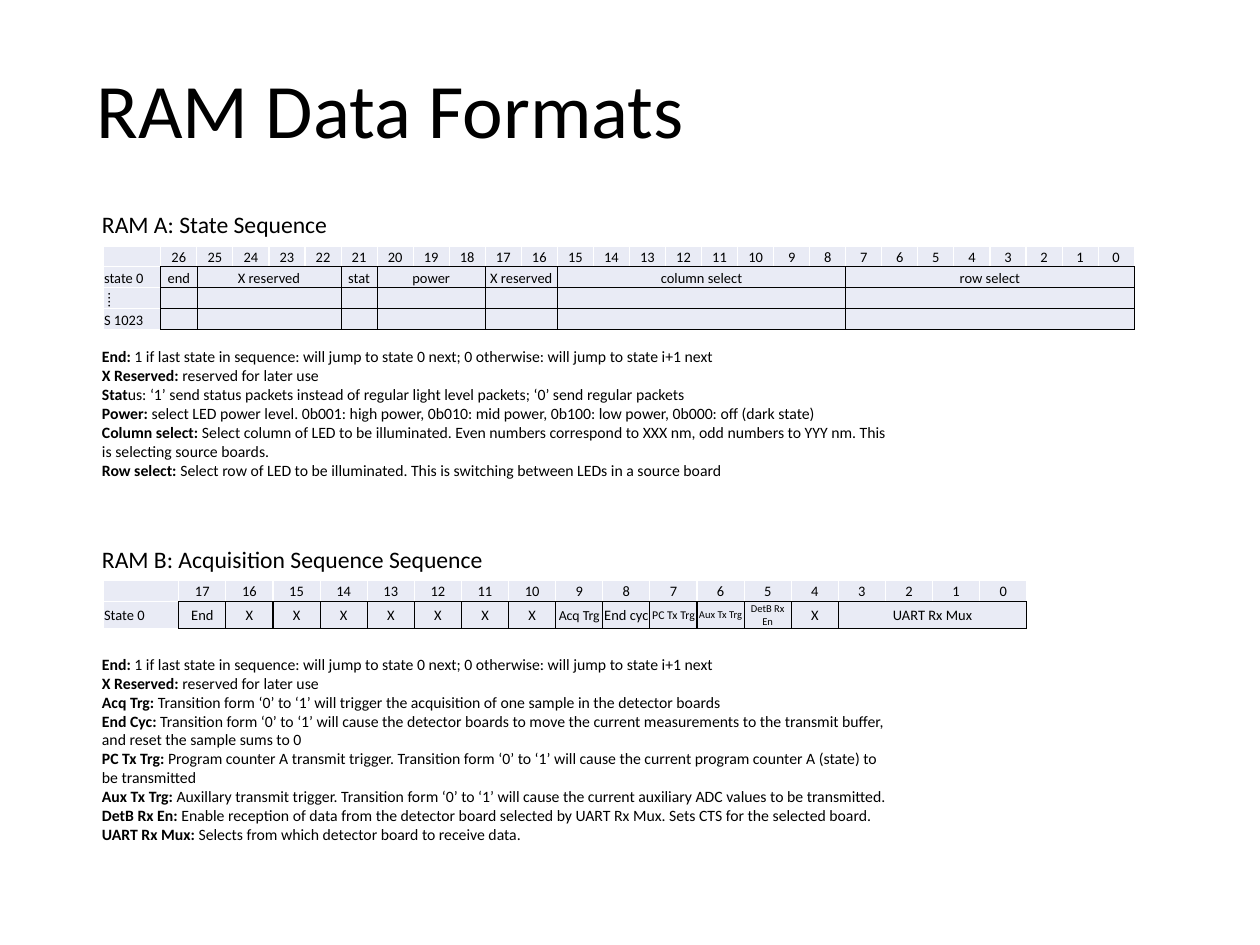
from lxml import etree
from pptx import Presentation
from pptx.dml.color import RGBColor
from pptx.enum.text import MSO_ANCHOR, MSO_AUTO_SIZE, PP_ALIGN
from pptx.oxml.ns import qn
from pptx.util import Inches, Pt

BLACK = RGBColor(0x00, 0x00, 0x00)
WHITE = RGBColor(0xFF, 0xFF, 0xFF)
PALE_BLUE = RGBColor(0xE9, 0xEB, 0xF5)
FONT = "Calibri"
LEFT, CENTER = PP_ALIGN.LEFT, PP_ALIGN.CENTER
MIDDLE, BOTTOM = MSO_ANCHOR.MIDDLE, MSO_ANCHOR.BOTTOM
NO_AUTOFIT = MSO_AUTO_SIZE.NONE
CELL_SIZE = 11
TITLE_ONLY = 5

# Each field: text, number of bits, text size, width of the line on its right
FIELDS_A = [
    ("end", 1, 11, 0.5), ("X reserved", 4, 11, 0.5), ("stat", 1, 11, 0.5),
    ("power", 3, 11, 0.5), ("X reserved", 2, 11, 0.5),
    ("column select", 8, 11, 1), ("row select", 8, 11, 1),
]
FIELDS_B = [
    ("End", 1, 11, 1), *[("X", 1, 11, 1)] * 7, ("Acq Trg", 1, 10.5, 1),
    ("End cyc", 1, 11, 1), ("PC Tx Trg", 1, 9, 1), ("Aux Tx Trg", 1, 8, 1),
    ("DetB Rx En", 1, 8, 1), ("X", 1, 11, 1), ("UART Rx Mux", 4, 11, 1),
]
COMMON_NOTES = [
    ("End:", " 1 if last state in sequence: will jump to state 0 next; "
             "0 otherwise: will jump to state i+1 next"),
    ("X Reserved:", " reserved for later use"),
]
NOTES_A = COMMON_NOTES + [
    ("Stat", "us: ‘1’ send status packets instead of regular light level packets; "
             "‘0’ send regular packets"),
    ("Power:", " select LED power level. 0b001: high power, 0b010: mid power, "
               "0b100: low power, 0b000: off (dark state)"),
    ("Column select:", " Select column of LED to be illuminated. Even numbers correspond "
                       "to XXX nm, odd numbers to YYY nm. This is selecting source boards."),
    ("Row select:", " Select row of LED to be illuminated. "
                    "This is switching between LEDs in a source board"),
]
NOTES_B = COMMON_NOTES + [
    ("Acq Trg:", " Transition form ‘0’ to ‘1’ will trigger the acquisition of one sample "
                 "in the detector boards"),
    ("End Cyc:", " Transition form ‘0’ to ‘1’ will cause the detector boards to move the "
                 "current measurements to the transmit buffer, and reset the sample sums to 0"),
    ("PC Tx Trg:", " Program counter A transmit trigger. Transition form ‘0’ to ‘1’ will "
                   "cause the current program counter A (state) to be transmitted"),
    ("Aux Tx Trg:", " Auxillary transmit trigger. Transition form ‘0’ to ‘1’ will cause the "
                    "current auxiliary ADC values to be transmitted."),
    ("DetB Rx En:", " Enable reception of data from the detector board selected by "
                    "UART Rx Mux. Sets CTS for the selected board."),
    ("UART Rx Mux:", " Selects from which detector board to receive data."),
]


def style_span(span, size, bold=False):
    """Give a run the slide's font, in black."""
    span.font.name, span.font.size, span.font.bold = FONT, Pt(size), bold
    span.font.color.rgb = BLACK


def add_title(page, box, text):
    """Fill the title placeholder and move it to the box."""
    title = page.shapes.title
    title.left, title.top, title.width, title.height = map(Inches, box)
    frame = title.text_frame
    frame.text = text
    frame.auto_size, frame.vertical_anchor = NO_AUTOFIT, MIDDLE
    para = frame.paragraphs[0]
    para.alignment, para.line_spacing = LEFT, 0.9
    style_span(para.runs[0], 58.6)


def add_text(page, box, lines, size):
    """Add a text box of lines, each a bold term and its plain text."""
    frame = page.shapes.add_textbox(*map(Inches, box)).text_frame
    frame.word_wrap = True
    for index, (term, meaning) in enumerate(lines):
        para = frame.add_paragraph() if index else frame.paragraphs[0]
        for text, bold in ((term, True), (meaning, False)):
            if text:
                span = para.add_run()
                span.text = text
                style_span(span, size, bold)


def set_borders(cell, **sides):
    """Draw the sides L, R, T and B of a cell, each a colour and a width."""
    properties = cell._tc.get_or_add_tcPr()
    for side in "LRTB":
        color, width = sides[side]
        line = etree.SubElement(properties, qn("a:ln" + side), w=str(Pt(width)))
        fill = etree.SubElement(line, qn("a:solidFill"))
        etree.SubElement(fill, qn("a:srgbClr"), val=str(color))


def fill_cell(cell, text, alignment, anchor, size=CELL_SIZE):
    """Set the fill, margins and text of a cell."""
    cell.fill.solid()
    cell.fill.fore_color.rgb = PALE_BLUE
    cell.margin_left = cell.margin_right = cell.margin_top = Inches(0.01)
    cell.margin_bottom = 0
    cell.vertical_anchor = anchor
    para = cell.text_frame.paragraphs[0]
    if text:
        para.text = text
        para.alignment = alignment
        style_span(para.runs[0], size)
    else:
        etree.SubElement(para._p, qn("a:endParaRPr"), sz=str(size * 100))


def add_bit_table(page, box, label_width, row_heights, labels, fields, anchor):
    """Add a table of numbered bits above the rows of their fields."""
    bits = sum(field[1] for field in fields)
    shape = page.shapes.add_table(len(labels) + 1, bits + 1, *map(Inches, box))
    table = shape.table
    table.first_row = table.horz_banding = False
    table.columns[0].width = Inches(label_width)
    for column in range(1, bits + 1):
        table.columns[column].width = Inches((box[2] - label_width) / bits)
    for row, height in zip(table.rows, row_heights):
        row.height = Inches(height)

    white, black = (WHITE, 1), (BLACK, 1)
    for column in range(bits + 1):
        cell = table.cell(0, column)
        set_borders(cell, L=white, R=white, T=white, B=black if column else white)
        fill_cell(cell, str(bits - column) if column else "", CENTER, anchor)

    for row, label in enumerate(labels, start=1):
        cell = table.cell(row, 0)
        set_borders(cell, L=white, R=black, T=white, B=white)
        fill_cell(cell, label, LEFT, anchor)
        column, left_line = 1, black
        for text, count, size, line_width in fields:
            right_line = (BLACK, line_width)
            for part in range(column, column + count):
                cell = table.cell(row, part)
                set_borders(cell, L=left_line, R=right_line, T=black, B=black)
                shown = text if row == 1 and part == column else ""
                fill_cell(cell, shown, CENTER, anchor, size if shown else CELL_SIZE)
            if count > 1:
                table.cell(row, column).merge(table.cell(row, column + count - 1))
            column, left_line = column + count, right_line


def add_ram_section(page, box, heading, notes_gap, notes, table_width, **layout):
    """Place a heading, its bit table and its notes inside the box."""
    left, top, width, height = box
    add_text(page, (left, top, width, 0.4), [("", heading)], 18)
    table_box = (left + 0.11, top + 0.43, table_width, sum(layout["row_heights"]))
    add_bit_table(page, table_box, **layout)
    add_text(page, (left, top + notes_gap, width, height - notes_gap), notes, 12)


deck = Presentation()
deck.slide_width, deck.slide_height = Inches(13.32), Inches(9.99)
page = deck.slides.add_slide(deck.slide_layouts[TITLE_ONLY])
add_title(page, (0.92, 0.53, 11.49, 1.34), "RAM Data Formats")
add_ram_section(
    page, (0.98, 2.17, 8.6, 2.96), "RAM A: State Sequence", 1.45, NOTES_A, 10.91,
    label_width=0.61, row_heights=[0.22] * 4, labels=["state 0", " ⁞", "S 1023"],
    fields=FIELDS_A, anchor=BOTTOM)
add_ram_section(
    page, (0.98, 5.71, 8.6, 3.28), "RAM B: Acquisition Sequence Sequence", 1.16, NOTES_B, 9.77,
    label_width=0.8, row_heights=[0.22, 0.28], labels=["State 0"],
    fields=FIELDS_B, anchor=MIDDLE)
deck.save("out.pptx")
